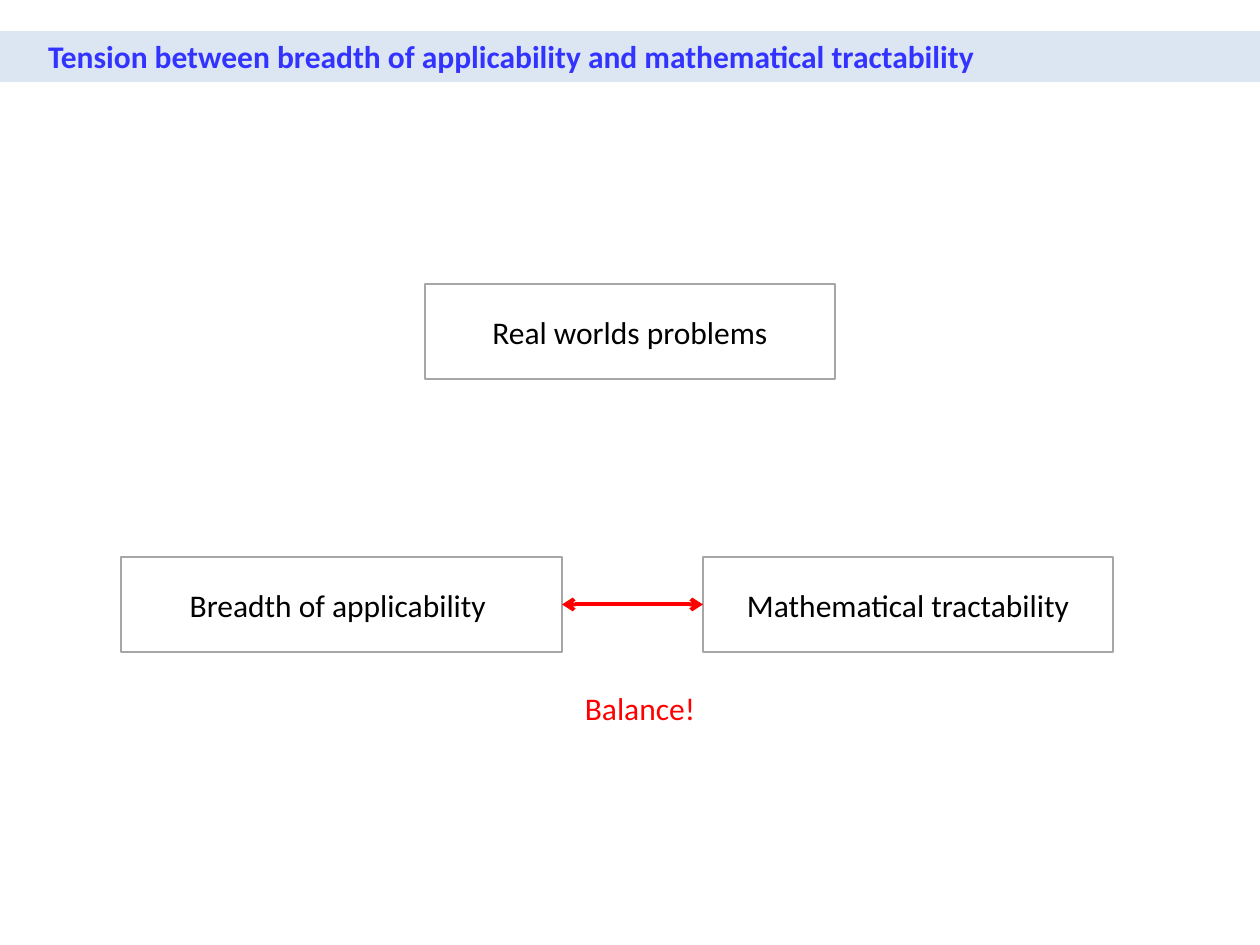
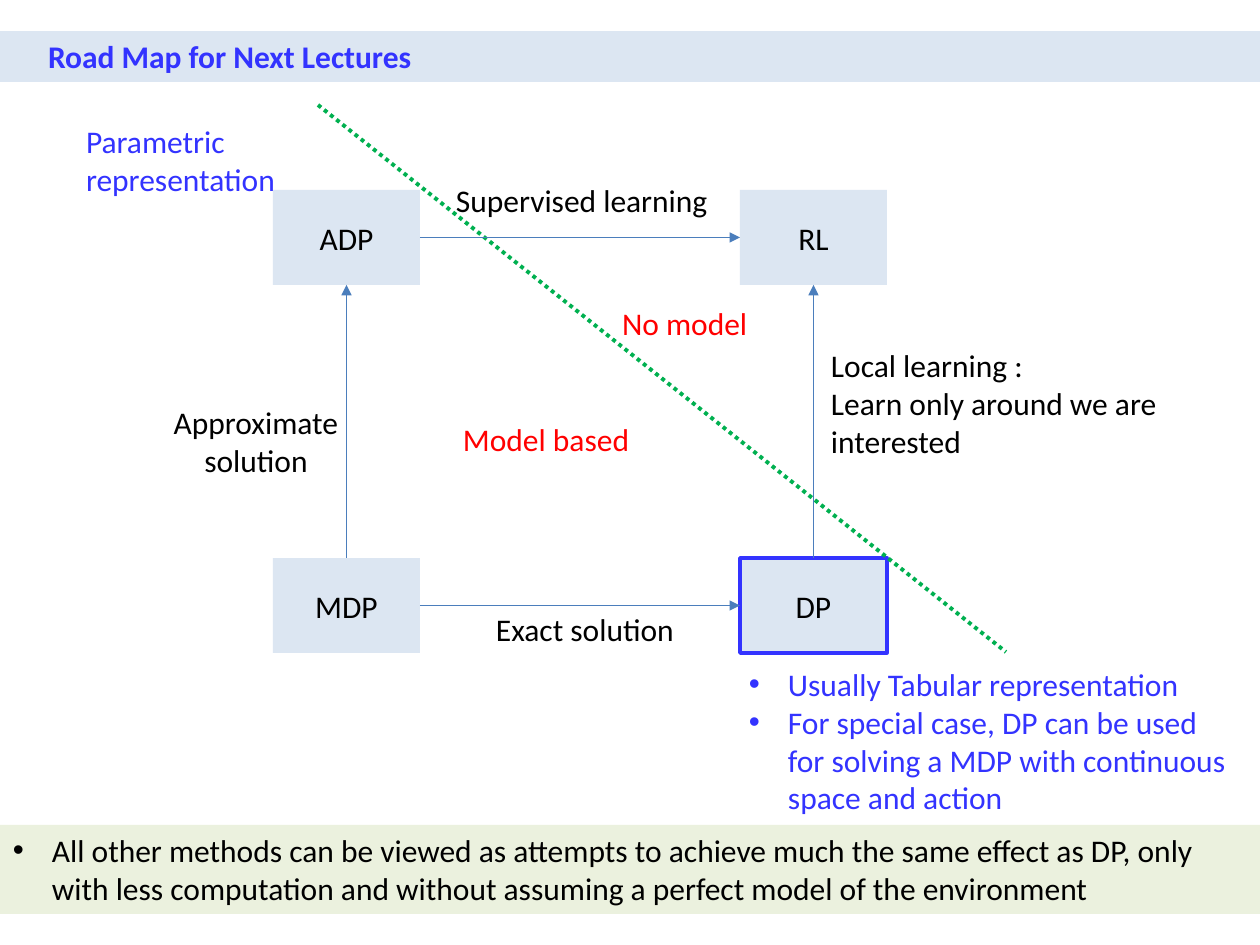
"""Build two lecture slides: a tension diagram and a road map of methods."""
from collections import namedtuple

from lxml import etree
from pptx import Presentation
from pptx.dml.color import RGBColor
from pptx.enum.dml import MSO_LINE
from pptx.enum.shapes import MSO_CONNECTOR, MSO_SHAPE
from pptx.enum.text import MSO_ANCHOR, MSO_AUTO_SIZE, PP_ALIGN
from pptx.oxml.ns import qn
from pptx.util import Pt

Box = namedtuple("Box", "left top width height")

SCALE = 914400 / 126
PAGE = Box(0, 0, 1260, 945)
TITLE_BAND = Box(0, 31, 1260, 51)
FONT, SIZE = "Calibri", 18
PALE_BLUE, PALE_GREEN = "DCE6F2", "EBF1DE"
BLUE, RED, BLACK = "3333FF", "FF0000", "000000"
GREY, GREEN, STEEL = "A6A6A6", "00B050", "4B7EBC"
LEFT, CENTER = PP_ALIGN.LEFT, PP_ALIGN.CENTER
TOP, MIDDLE = MSO_ANCHOR.TOP, MSO_ANCHOR.MIDDLE
RECTANGLE, PROCESS = MSO_SHAPE.RECTANGLE, MSO_SHAPE.FLOWCHART_PROCESS
STRAIGHT, DOTTED = MSO_CONNECTOR.STRAIGHT, MSO_LINE.ROUND_DOT
NO_AUTOFIT = MSO_AUTO_SIZE.NONE
TOP_SITE, LEFT_SITE, BOTTOM_SITE, RIGHT_SITE = range(4)
TITLE_ONLY = 5
BULLET_INDENT = 39


def px(length):
    """Turn pixels into EMU."""
    return round(length * SCALE)


def rgb(value):
    """Turn a hex string into a colour."""
    return RGBColor.from_string(value)


def inside(area, left, top, width, height):
    """Return a box placed relative to the corner of an area."""
    return Box(area.left + left, area.top + top, width, height)


def add_bullet(para):
    """Give a paragraph a hanging round bullet."""
    properties = para._p.get_or_add_pPr()
    properties.set("marL", str(px(BULLET_INDENT)))
    properties.set("indent", str(-px(BULLET_INDENT)))
    font = etree.SubElement(properties, qn("a:buFont"))
    font.set("typeface", "Arial")
    etree.SubElement(properties, qn("a:buChar")).set("char", "•")


def write(shape, lines, color=BLACK, align=LEFT, anchor=TOP, bold=False, bullets=False):
    """Fill a shape with one styled paragraph per line."""
    frame = shape.text_frame
    frame.word_wrap = True
    frame.auto_size = NO_AUTOFIT
    frame.vertical_anchor = anchor
    frame.margin_left = frame.margin_right = px(13)
    frame.margin_top = frame.margin_bottom = px(6)
    for index, line in enumerate(lines):
        para = frame.add_paragraph() if index else frame.paragraphs[0]
        para.alignment = align
        if bullets:
            add_bullet(para)
        span = para.add_run()
        span.text = line
        span.font.name, span.font.size, span.font.bold = FONT, Pt(SIZE), bold
        span.font.color.rgb = rgb(color)


def add_label(page, box, *lines, **style):
    """Add a text box."""
    label = page.shapes.add_textbox(*map(px, box))
    write(label, lines, **style)


def add_panel(page, kind, box, fill=None, line=None, line_width=1):
    """Add a flat preset shape with optional fill and outline."""
    panel = page.shapes.add_shape(kind, *map(px, box))
    panel.shadow.inherit = False
    if fill:
        panel.fill.solid()
        panel.fill.fore_color.rgb = rgb(fill)
    else:
        panel.fill.background()
    if line:
        panel.line.color.rgb = rgb(line)
        panel.line.width = Pt(line_width)
    else:
        panel.line.fill.background()
    return panel


def add_node(page, kind, box, text, **look):
    """Add a diagram node with centred text."""
    node = add_panel(page, kind, box, **look)
    write(node, [text], align=CENTER, anchor=MIDDLE)
    return node


def add_line(page, color, width, ends=(0, 0, 0, 0), dash=None, head=None, tail=None):
    """Add a straight line with optional dash and arrowheads."""
    line = page.shapes.add_connector(STRAIGHT, *map(px, ends))
    line.line.color.rgb = rgb(color)
    line.line.width = Pt(width)
    if dash:
        line.line.dash_style = dash
    outline = line.line._ln
    for tag, arrow in (("a:headEnd", head), ("a:tailEnd", tail)):
        if arrow:
            etree.SubElement(outline, qn(tag)).set("type", arrow)
    etree.SubElement(line._element.spPr, qn("a:effectLst"))
    return line


def join(line, start, start_site, end, end_site):
    """Attach a line to two nodes."""
    line.begin_connect(start, start_site)
    line.end_connect(end, end_site)


def add_page(deck, title):
    """Add a slide with its title on the shared band."""
    page = deck.slides.add_slide(deck.slide_layouts[TITLE_ONLY])
    band = page.shapes.title
    band.left, band.top, band.width, band.height = map(px, TITLE_BAND)
    band.fill.solid()
    band.fill.fore_color.rgb = rgb(PALE_BLUE)
    write(band, [title], color=BLUE, bold=True)
    band.text_frame.margin_left = px(48)
    return page


def draw_tension(page, area):
    """Draw the two opposed goals below the problems they serve."""
    def goal(left, top, width, text):
        return add_node(page, PROCESS, inside(area, left, top, width, 95), text, line=GREY)

    breadth = goal(0, 273, 441, "Breadth of applicability ")
    tractability = goal(582, 273, 410, "Mathematical tractability")
    goal(304, 0, 410, "Real worlds problems")
    add_label(page, inside(area, 393, 399, 252, 51), "Balance!", color=RED, align=CENTER)
    balance = add_line(page, RED, 2.25, head="arrow", tail="arrow")
    join(balance, breadth, RIGHT_SITE, tractability, LEFT_SITE)


def draw_road_map(page, area):
    """Draw the square of methods, its arrows and the model boundary."""
    nodes = {}
    for index, name in enumerate(("ADP", "RL", "MDP", "DP")):
        row, column = divmod(index, 2)
        box = inside(area, column * 467, row * 368, 147, 95)
        outline = BLUE if name == "DP" else None
        nodes[name] = add_node(page, RECTANGLE, box, name, fill=PALE_BLUE,
                               line=outline, line_width=2)

    boundary = inside(area, 45, -85, 688, 547)
    ends = (boundary.left, boundary.top,
            boundary.left + boundary.width, boundary.top + boundary.height)
    add_line(page, GREEN, 2.25, ends, dash=DOTTED)

    across, upward = (RIGHT_SITE, LEFT_SITE), (TOP_SITE, BOTTOM_SITE)
    for start, end, (start_site, end_site) in (
            ("MDP", "DP", across), ("ADP", "RL", across),
            ("MDP", "ADP", upward), ("DP", "RL", upward)):
        arrow = add_line(page, STEEL, 0.75, tail="triangle")
        join(arrow, nodes[start], start_site, nodes[end], end_site)

    add_label(page, inside(area, 210, 414, 214, 51), "Exact solution")
    add_label(page, inside(area, -124, 207, 214, 89), "Approximate solution", align=CENTER)
    add_label(page, inside(area, 545, 150, 401, 127),
              "Local learning :", "Learn only around we are interested")
    add_label(page, inside(area, 170, -15, 292, 51), "Supervised learning")
    add_label(page, inside(area, 177, 224, 242, 51), "Model based", color=RED)
    add_label(page, inside(area, 336, 108, 168, 51), "No model", color=RED)
    add_label(page, inside(area, -200, -74, 244, 89), "Parametric representation", color=BLUE)
    add_label(page, inside(area, 463, 469, 504, 165),
              "Usually Tabular representation",
              "For special case, DP can be used for solving a MDP with continuous "
              "space and action", color=BLUE, bullets=True)


def draw_conclusion(page, box):
    """Draw the closing remark on its band."""
    band = add_panel(page, RECTANGLE, box, fill=PALE_GREEN)
    write(band, ["All other methods can be viewed as attempts to achieve much the same "
                 "effect as DP, only with less computation and without assuming a perfect "
                 "model of the environment"], bullets=True)


def main():
    """Build and save the deck."""
    deck = Presentation()
    deck.slide_width, deck.slide_height = px(PAGE.width), px(PAGE.height)
    tension = add_page(
        deck, "Tension between breadth of applicability and mathematical tractability")
    draw_tension(tension, Box(121, 284, 992, 450))
    road_map = add_page(deck, "Road Map for Next Lectures")
    draw_road_map(road_map, Box(273, 190, 614, 463))
    draw_conclusion(road_map, Box(0, 825, 1260, 89))
    deck.save("out.pptx")


if __name__ == "__main__":
    main()
